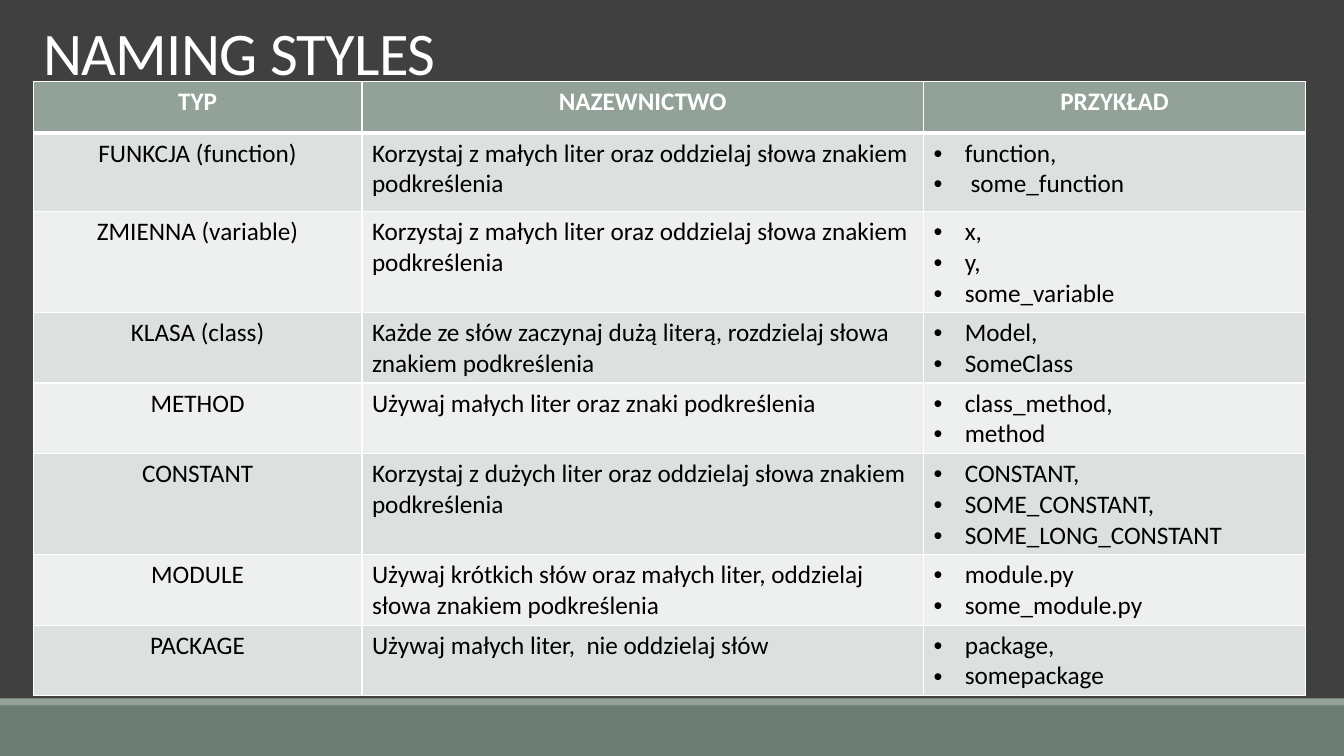
"""Builds a slide with a table of Python naming styles."""
from lxml.etree import SubElement as Sub
from pptx import Presentation as Deck
from pptx.dml.color import RGBColor as Rgb
from pptx.enum.shapes import MSO_SHAPE as Kind
from pptx.enum.text import MSO_ANCHOR as Anchor, PP_ALIGN as Align
from pptx.oxml.ns import qn
from pptx.util import Inches, Pt

HUES = {
    "back": "404040",
    "foot": "6B7D72",
    "head": "93A299",
    "dark": "DCE0DE",
    "pale": "EEF0EF",
    "white": "FFFFFF",
    "black": "000000",
}
HEADS = ["TYP", "NAZEWNICTWO", "PRZYKŁAD"]
LOWER = "Korzystaj z małych liter oraz oddzielaj słowa znakiem podkreślenia"
ROWS = [
    ("FUNKCJA (function)", LOWER, ["function,", " some_function"]),
    ("ZMIENNA (variable)", LOWER, ["x,", "y,", "some_variable"]),
    ("KLASA (class)",
     "Każde ze słów zaczynaj dużą literą, rozdzielaj słowa znakiem podkreślenia",
     ["Model,", "SomeClass"]),
    ("METHOD", "Używaj małych liter oraz znaki podkreślenia",
     ["class_method,", "method"]),
    ("CONSTANT",
     "Korzystaj z dużych liter oraz oddzielaj słowa znakiem podkreślenia",
     ["CONSTANT,", "SOME_CONSTANT,", "SOME_LONG_CONSTANT"]),
    ("MODULE",
     "Używaj krótkich słów oraz małych liter, oddzielaj słowa znakiem podkreślenia",
     ["module.py", "some_module.py"]),
    ("PACKAGE", "Używaj małych liter,  nie oddzielaj słów",
     ["package,", "somepackage"]),
]
WIDTHS = [3.26, 5.57, 3.79]
TALL = [0.51, 0.78, 0.99, 0.69, 0.69, 0.99, 0.69, 0.69]


class Page:
    """Holds the style and the current slide."""

    def __init__(self, slide, font="Calibri"):
        self.slide = slide
        self.font = font
        self.paint(slide.background.fill, "back")

    def paint(self, fill, hue):
        fill.solid()
        fill.fore_color.rgb = Rgb.from_string(HUES[hue])

    def words(self, para, text, hue, **form):
        run = para.add_run()
        run.text = text
        for name, value in {"name": self.font, **form}.items():
            setattr(run.font, name, value)
        run.font.color.rgb = Rgb.from_string(HUES[hue])
        return run

    def band(self, top, height, hue):
        bar = self.slide.shapes.add_shape(
            Kind.RECTANGLE, 0, Inches(top), Inches(13.33), Inches(height))
        bar.shadow.inherit = False
        self.paint(bar.fill, hue)
        bar.line.fill.background()

    def title(self, text, *box):
        frame = self.slide.shapes.add_textbox(*map(Inches, box)).text_frame
        for name, value in {"word_wrap": True,
                            "vertical_anchor": Anchor.BOTTOM}.items():
            setattr(frame, name, value)
        para = frame.paragraphs[0]
        para.line_spacing = 0.85
        run = self.words(para, text, "white", size=Pt(43.2))
        run._r.get_or_add_rPr().set("spc", "-50")

    def edge(self, cell, base):
        props = cell._tc.get_or_add_tcPr()
        for side, width in {"L": 1, "R": 1, "T": 1, "B": base}.items():
            line = Sub(props, qn("a:ln" + side), w=str(Pt(width)))
            fill = Sub(line, qn("a:solidFill"))
            Sub(fill, qn("a:srgbClr"), val=HUES["white"])

    def bullet(self, para):
        props = para._p.get_or_add_pPr()
        for name, value in {"marL": 0.31, "indent": -0.31}.items():
            props.set(name, str(Inches(value)))
        Sub(props, qn("a:buFont"), typeface="Arial")
        Sub(props, qn("a:buChar"), char="•")

    def cell(self, cell, text, fill, hue, bold, align, base):
        self.edge(cell, base)
        self.paint(cell.fill, fill)
        listed = isinstance(text, list)
        frame = cell.text_frame
        for num, item in enumerate(text if listed else [text]):
            para = frame.add_paragraph() if num else frame.paragraphs[0]
            para.alignment = align
            if listed:
                self.bullet(para)
            self.words(para, item, hue, size=Pt(18), bold=bold)

    def table(self, left, top):
        grid = self.slide.shapes.add_table(
            len(TALL), len(WIDTHS), Inches(left), Inches(top),
            Inches(sum(WIDTHS)), Inches(sum(TALL))).table
        grid.horz_banding = False
        for col, width in zip(grid.columns, WIDTHS):
            col.width = Inches(width)
        for num, (row, height) in enumerate(zip(grid.rows, TALL)):
            row.height = Inches(height)
            head = num == 0
            fill = "head" if head else "dark" if num % 2 else "pale"
            texts = HEADS if head else ROWS[num - 1]
            for col, text in enumerate(texts):
                self.cell(
                    row.cells[col], text, fill,
                    hue="white" if head else "black",
                    bold=head,
                    align=Align.CENTER if head or col == 0 else Align.LEFT,
                    base=3 if head else 1)


def main():
    deck = Deck()
    deck.slide_width, deck.slide_height = Inches(13.33), Inches(7.5)
    page = Page(deck.slides.add_slide(deck.slide_layouts[6]))
    page.band(7, 0.5, "foot")
    page.band(6.93, 0.07, "head")
    page.title("NAMING STYLES", 0.33, 0.18, 11, 0.74)
    page.table(0.33, 0.81)
    deck.save("out.pptx")


if __name__ == "__main__":
    main()
